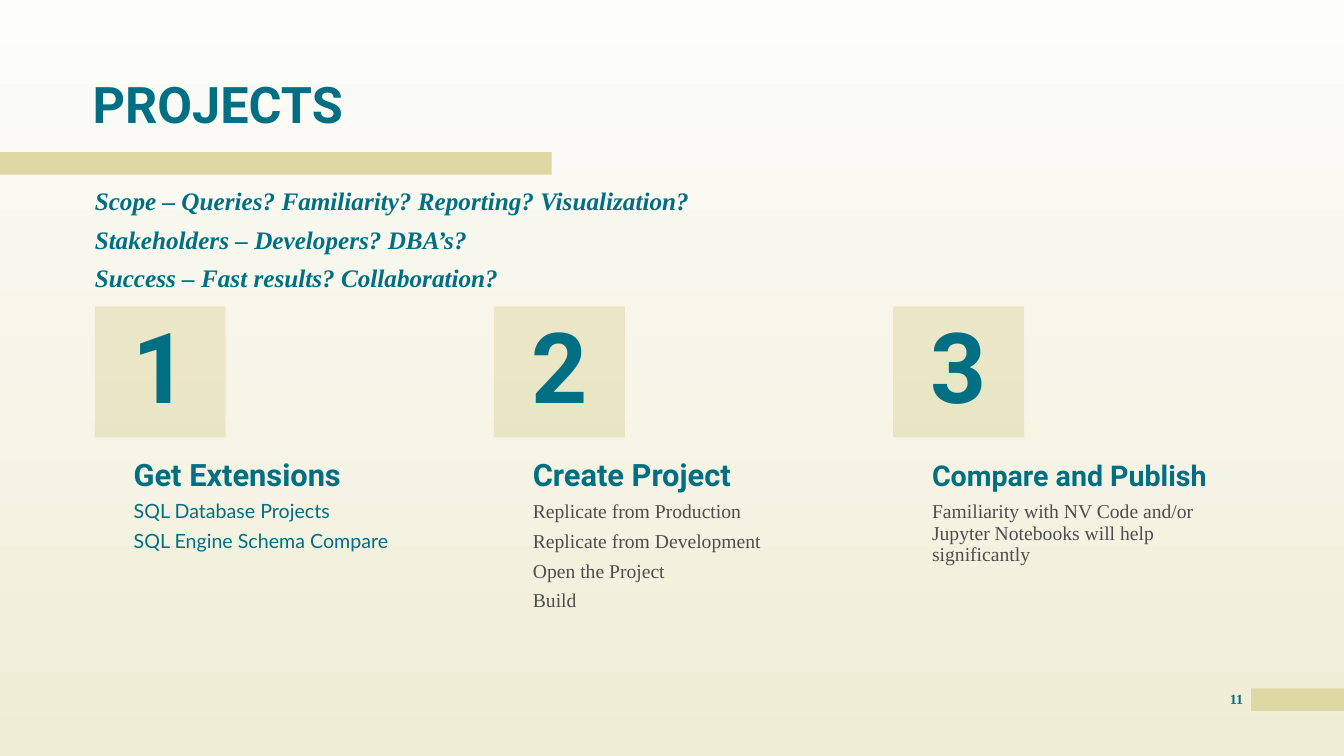
import pptx
import pptx.dml.color
import pptx.enum.shapes
import pptx.enum.text
import pptx.oxml.ns
import pptx.util
from lxml import etree

RGB = pptx.dml.color.RGBColor
TEAL = RGB(0x00, 0x6F, 0x83)
GREY = RGB(0x4D, 0x4D, 0x4D)
SAND = RGB(0xDE, 0xD8, 0xA4)
PALE = RGB(0xFD, 0xFD, 0xFA)
CREAM = RGB(0xF0, 0xED, 0xD6)

SERIF, HEADING, SANS = "Times New Roman", "Roboto", "Lato"
ANCHOR = pptx.enum.text.MSO_ANCHOR
ALIGN = pptx.enum.text.PP_ALIGN

LEFT, PITCH, INDENT = 7.05, 29.7, 2.9
STEPS = [
    ("Get Extensions", 22, SANS, TEAL,
     ["SQL Database Projects", "SQL Engine Schema Compare"]),
    ("Create Project", 22, SERIF, GREY,
     ["Replicate from Production", "Replicate from Development",
      "Open the Project", "Build"]),
    ("Compare and Publish", 20.4, SERIF, GREY,
     ["Familiarity with NV Code and/or Jupyter Notebooks will help significantly"]),
]


class Deck:
    """Draws on one slide; every box is (left, top, width, height) in percent of the slide."""

    def __init__(self):
        self.prs = pptx.Presentation()
        self.prs.slide_width = pptx.util.Inches(13.33)
        self.prs.slide_height = pptx.util.Inches(7.5)
        self.s = self.prs.slides.add_slide(self.prs.slide_layouts[6])

    def place(self, box):
        """Turn percentages into slide lengths."""
        w, h = self.prs.slide_width, self.prs.slide_height
        return [round(share * side / 100) for share, side in zip(box, (w, h, w, h))]

    def background(self, top, bottom):
        fill = self.s.background.fill
        fill.gradient()
        fill.gradient_angle = 270
        for stop, position, color in zip(fill.gradient_stops, (0, 1), (top, bottom)):
            stop.position = position
            stop.color.rgb = color

    def bar(self, box, opacity=100):
        sp = self.s.shapes.add_shape(
            pptx.enum.shapes.MSO_SHAPE.RECTANGLE, *self.place(box))
        sp.shadow.inherit = False
        sp.line.fill.background()
        sp.fill.solid()
        sp.fill.fore_color.rgb = SAND
        if opacity < 100:
            color = sp.element.spPr.find(".//" + pptx.oxml.ns.qn("a:srgbClr"))
            alpha = etree.SubElement(color, pptx.oxml.ns.qn("a:alpha"))
            alpha.set("val", str(opacity * 1000))
        return sp

    def text(self, box, lines, size, **style):
        sp = self.s.shapes.add_textbox(*self.place(box))
        self.add_lines(sp, lines, size, **style)

    def add_lines(self, sp, lines, size, font=SERIF, color=TEAL, bold=True, italic=False,
                  spacing=0.9, before=0, align=ALIGN.LEFT, anchor=ANCHOR.TOP):
        tf = sp.text_frame
        tf.word_wrap = True
        tf.vertical_anchor = anchor
        tf.margin_left = tf.margin_right = tf.margin_top = tf.margin_bottom = 0
        for i, line in enumerate(lines):
            p = tf.add_paragraph() if i else tf.paragraphs[0]
            p.alignment = align
            p.line_spacing = spacing
            if i:
                p.space_before = pptx.util.Pt(before)
            r = p.add_run()
            r.text = line
            r.font.name = font
            r.font.size = pptx.util.Pt(size)
            r.font.bold = bold
            r.font.italic = italic
            r.font.color.rgb = color

    def step(self, index, title, title_size, font, color, lines):
        """Numbered square with a heading and details below it."""
        left = LEFT + index * PITCH
        square = self.bar((left, 40.53, 9.75, 17.33), opacity=50)
        self.add_lines(square, [str(index + 1)], 70, font=HEADING,
                       align=ALIGN.CENTER, anchor=ANCHOR.MIDDLE)
        self.text((left + INDENT, 58.4, 24, 6.8), [title], title_size,
                  font=HEADING, anchor=ANCHOR.BOTTOM)
        self.text((left + INDENT, 66.4, 24, 16.53), lines, 14,
                  font=font, color=color, bold=False, before=6)


def main():
    deck = Deck()
    deck.background(PALE, CREAM)
    deck.bar((93.1, 91.07, 6.9, 2.97))
    deck.bar((0, 20.13, 41.04, 2.97))
    deck.text((6.9, 9.07, 64, 8.67), ["PROJECTS"], 36,
              font=HEADING, anchor=ANCHOR.BOTTOM)
    deck.text((LEFT, 25.33, 64, 13.73),
              ["Scope – Queries? Familiarity? Reporting? Visualization?",
               "Stakeholders – Developers? DBA’s?",
               "Success – Fast results? Collaboration?"],
              18, italic=True, spacing=0.8, before=10)
    for index, step in enumerate(STEPS):
        deck.step(index, *step)
    deck.text((90.92, 91.33, 2.18, 3.33), ["11"], 10, spacing=1.0, align=ALIGN.CENTER)
    deck.prs.save("out.pptx")


if __name__ == "__main__":
    main()
